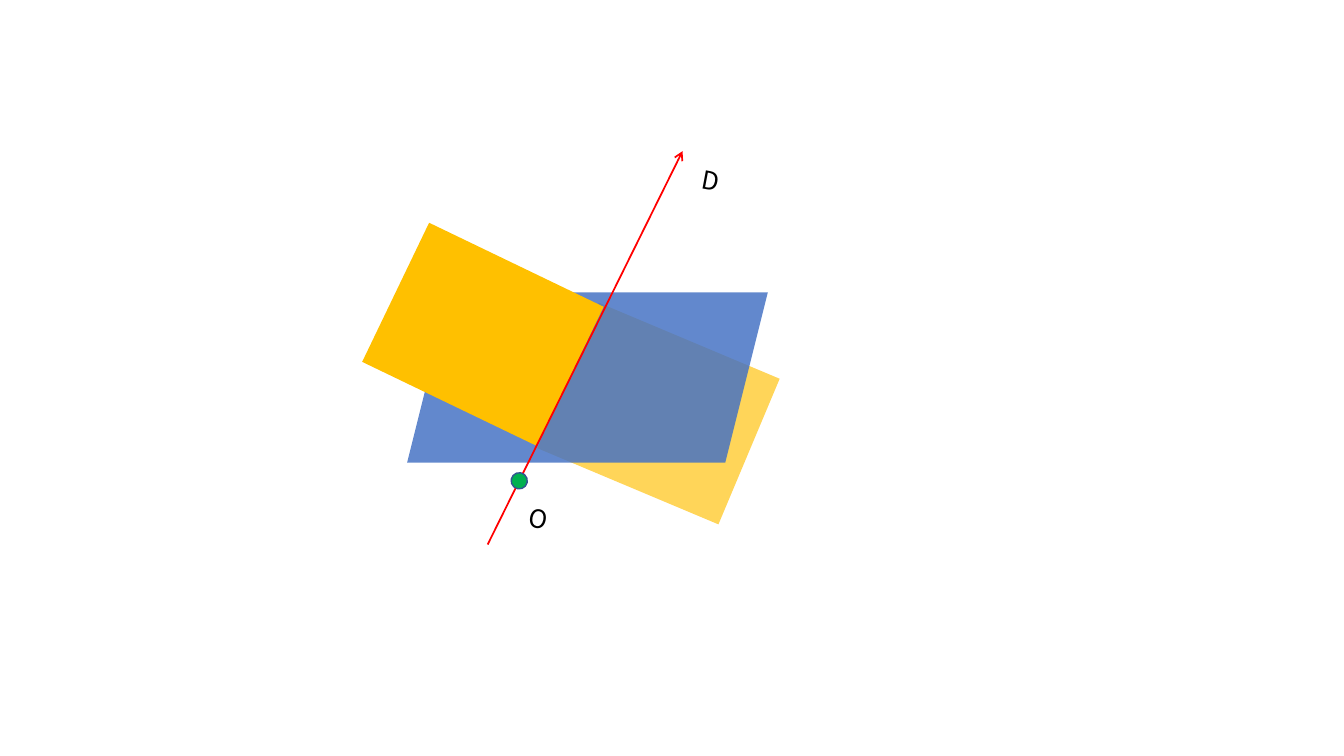
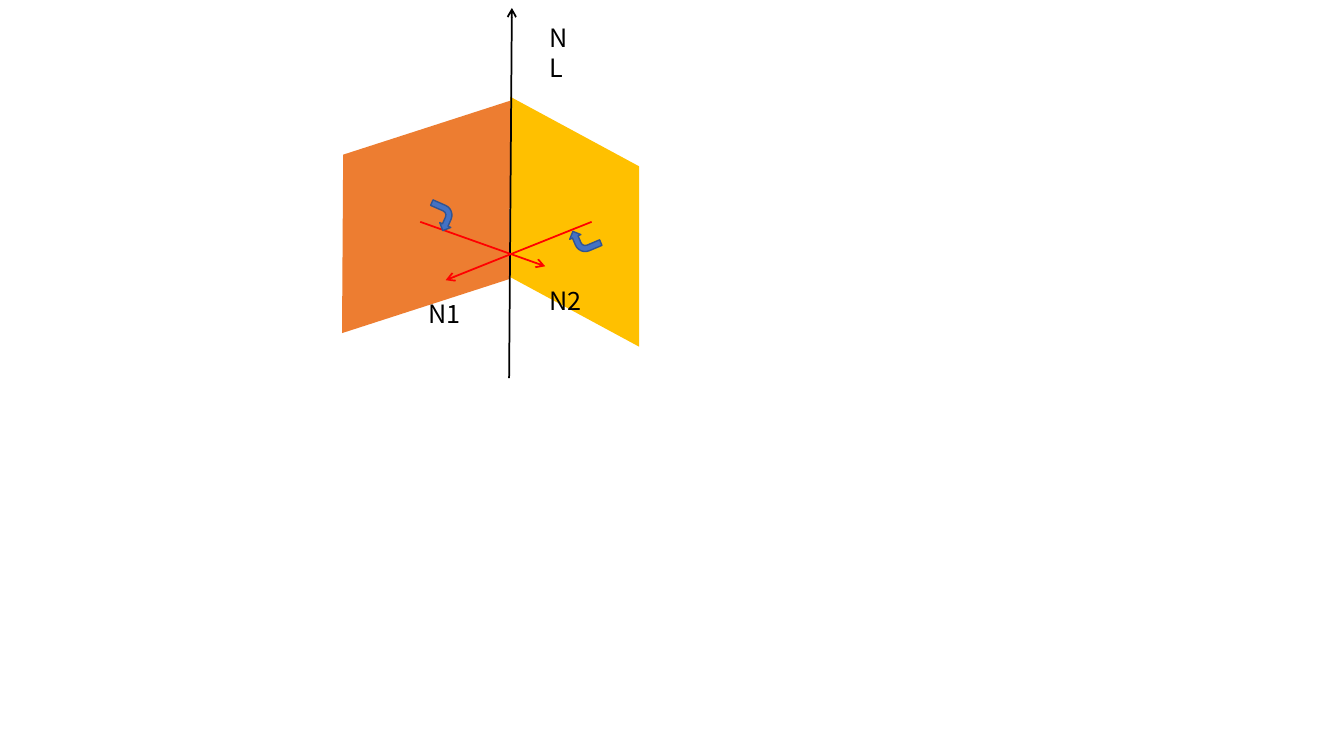
from lxml import etree
from pptx import Presentation
from pptx import util as u
from pptx.dml.color import RGBColor
from pptx.enum import shapes, text
from pptx.oxml import ns

GOLD = RGBColor(0xFF, 0xC0, 0x00)
BLUE = RGBColor(0x44, 0x72, 0xC4)
NAVY = RGBColor(0x32, 0x54, 0x91)
ORANGE = RGBColor(0xED, 0x7D, 0x31)
GREEN = RGBColor(0x00, 0xB0, 0x50)
RED = RGBColor(0xFF, 0x00, 0x00)
BLACK = RGBColor(0x00, 0x00, 0x00)
FONT = "Noto Sans CJK SC"

PLANE = shapes.MSO_SHAPE.PARALLELOGRAM
DOT = shapes.MSO_SHAPE.OVAL
TURN = shapes.MSO_SHAPE.BENT_ARROW
TILT = 10.7

# Frames are left, top, width, height in centimetres.
# planes: frame, rotation, slant, colour, opacity in percent
# rays: start, end, colour
# marks: preset, frame, rotation, colour
# labels: wording, frame, rotation, wrap
ray_through_planes = {
    "planes": [
        ((14.12, 8.43, 4.95, 3.98), 22.8, 0, GOLD, 65),
        ((10.26, 7.37, 9.09, 4.29), 0, 0.25, BLUE, 84),
        ((9.73, 6.48, 4.88, 3.89), 25.7, 0, GOLD, 100),
    ],
    "rays": [((12.29, 13.72), (17.2, 3.81), RED)],
    "marks": [(DOT, (12.88, 11.91, 0.41, 0.41), TILT, GREEN)],
    "labels": [
        ("O", (13.08, 12.57, 0.99, 1.02), TILT, False),
        ("D", (17.45, 4.04, 0.97, 1.02), TILT, False),
    ],
}
plane_normals = {
    "planes": [
        ((11.33, 3.96, 6.3, 3.25), 270, 0.54, GOLD, 100),
        ((7.82, 3.33, 5.84, 4.27), 162.1, 0.33, ORANGE, 100),
    ],
    "rays": [
        ((12.83, 9.53), (12.9, 0.2), BLACK),
        ((14.91, 5.59), (11.23, 7.06), RED),
        ((10.59, 5.59), (13.74, 6.71), RED),
    ],
    "marks": [
        (TURN, (10.8, 5.11, 0.61, 0.69), 113.7, BLUE),
        (TURN, (14.43, 5.69, 0.61, 0.69), 247.2, BLUE),
    ],
    "labels": [
        ("N1", (10.54, 7.39, 1.32, 1.02), 0, False),
        ("N2", (13.59, 7.06, 1.32, 1.02), 0, False),
        ("NL", (13.61, 0.43, 1.27, 1.02), 0, True),
    ],
}


def add_filled(page, preset, frame, rotation, colour):
    """Add a flat, rotated preset shape without an outline."""
    shape = page.shapes.add_shape(preset, *map(u.Cm, frame))
    shape.rotation = rotation
    shape.shadow.inherit = False
    shape.fill.solid()
    shape.fill.fore_color.rgb = colour
    shape.line.fill.background()
    return shape


def add_ray(page, start, end, colour):
    """Add a thin line with an open arrowhead at its end."""
    ray = page.shapes.add_connector(
        shapes.MSO_CONNECTOR.STRAIGHT, *map(u.Cm, start + end))
    ray.line.color.rgb = colour
    ray.line.width = u.Pt(1.25)
    properties = ray._element.spPr
    outline = properties.find(ns.qn("a:ln"))
    etree.SubElement(outline, ns.qn("a:tailEnd"), type="arrow")
    etree.SubElement(properties, ns.qn("a:effectLst"))


deck = Presentation()
deck.slide_width, deck.slide_height = u.Cm(33.87), u.Cm(19.05)
blank = deck.slide_layouts[6]

for drawing in (ray_through_planes, plane_normals):
    page = deck.slides.add_slide(blank)

    for frame, rotation, slant, colour, opacity in drawing["planes"]:
        plane = add_filled(page, PLANE, frame, rotation, colour)
        plane.adjustments[0] = slant
        if opacity < 100:
            tint = plane._element.spPr.find(
                ns.qn("a:solidFill")).find(ns.qn("a:srgbClr"))
            etree.SubElement(tint, ns.qn("a:alpha"), val=str(opacity * 1000))

    for start, end, colour in drawing["rays"]:
        add_ray(page, start, end, colour)

    for preset, frame, rotation, colour in drawing["marks"]:
        mark = add_filled(page, preset, frame, rotation, colour)
        mark.line.color.rgb = NAVY
        mark.line.width = u.Pt(1)

    for wording, frame, rotation, wrap in drawing["labels"]:
        box = page.shapes.add_textbox(*map(u.Cm, frame))
        box.rotation = rotation
        box.text_frame.word_wrap = wrap
        box.text_frame.auto_size = text.MSO_AUTO_SIZE.SHAPE_TO_FIT_TEXT
        para = box.text_frame.paragraphs[0]
        para.text = wording
        para.font.name = FONT
        para.font.size = u.Pt(18)
        para.font.color.rgb = BLACK

deck.save("out.pptx")
